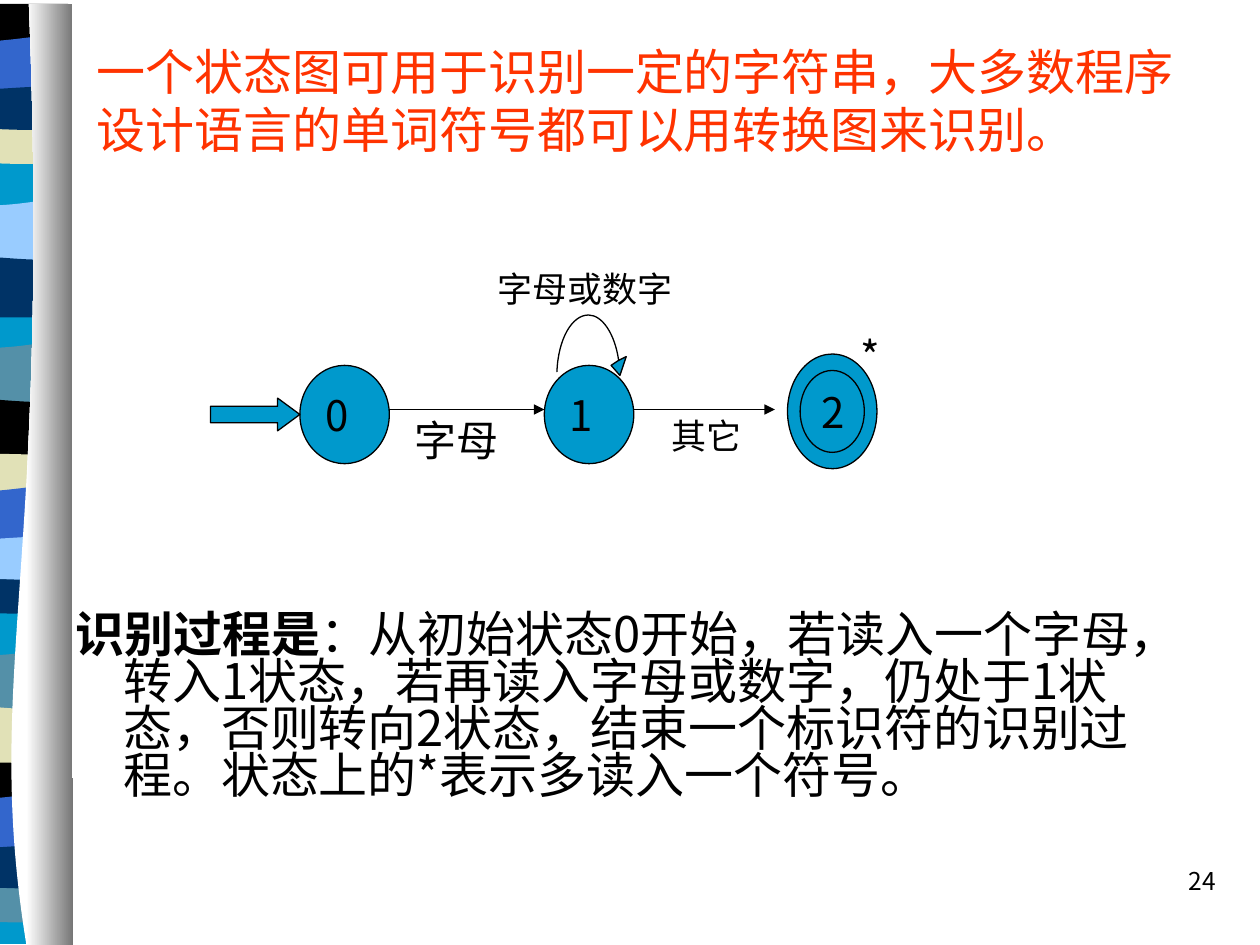
import pptx
import pptx.dml.color
import pptx.enum.shapes
import pptx.enum.text
import pptx.oxml
import pptx.oxml.ns
import pptx.util

Inches = pptx.util.Inches
Shapes = pptx.enum.shapes.MSO_SHAPE
Align = pptx.enum.text.PP_ALIGN
Anchor = pptx.enum.text.MSO_ANCHOR

THEME = {
    "font": "Noto Sans CJK SC",
    "heading": "FF3300", "ink": "000000", "state": "0099CC",
    "blue": "3366CC", "navy": "003366", "sand": "E1E1B7",
    "steel": "5490A8", "sky": "99CCFF", "black": "000000",
    "curtain": ("FFFFFF", "767676"),
    "large": 28, "medium": 24, "small": 20, "number": 14,
    "outline": 0.75, "leading": 1.18, "tight": 0.96,
}

HEADING = "一个状态图可用于识别一定的字符串，大多数程序设计语言的单词符号都可以用转换图来识别。"
PROCESS = [
    ("识别过程是", True),
    ("：从初始状态0开始，若读入一个字母，转入1状态，若再读入字母或数字，仍处于1状态，"
     "否则转向2状态，结束一个标识符的识别过程。状态上的*表示多读入一个符号。", False),
]
PAGE_NUMBER = "24"

STATES = [
    ("", (6.25, 2.81, 0.71, 0.91)),
    ("0", (2.38, 2.9, 0.71, 0.78)),
    ("1", (4.32, 2.9, 0.71, 0.78)),
    ("2", (6.35, 2.94, 0.51, 0.65)),
]
TRANSITIONS = [(3.09, 4.32), (5.03, 6.15)]
TRANSITION_Y = 3.25
LABELS = [
    ("字母", (3.19, 3.25, 1.43, 0.5), "medium", True),
    ("字母或数字", (3.85, 2.08, 2.14, 0.44), "small", True),
    ("其它", (5.23, 3.25, 1.32, 0.44), "small", True),
    ("*", (6.73, 2.58, 0.38, 0.5), "medium", False),
]
ENTRY_ARROW = (1.67, 3.16, 0.71, 0.26)
LOOP = [
    (4.91, 2.86), (4.88, 2.65, 4.78, 2.5, 4.67, 2.5),
    (4.54, 2.5, 4.43, 2.69, 4.42, 2.95), (4.43, 2.69, 4.54, 2.5, 4.67, 2.5),
    (4.78, 2.5, 4.88, 2.65, 4.91, 2.86), (4.97, 2.83), (4.92, 2.98), (4.85, 2.9),
]

BAND_OUTLINES = {
    "plain": [(0, 7.44), (0, 0), (1.1, 0), (1.1, 7.44)],
    "swell": [(0, 0.55), (0, 0.08), (0.76, 0.16, 0.91, 0, 1.1, 0.08), (1.1, 0.55)],
    "ripple": [(0, 0.55), (0, 0.08), (0.18, 0, 0.76, 0.13, 1.1, 0.08), (1.1, 0.55)],
    "lens": [(0, 0.28), (0, 0.04), (0.18, 0, 0.91, 0, 1.1, 0.04), (1.1, 0.28),
             (1.03, 0.33, 0.86, 0.32, 0.68, 0.32), (0.49, 0.32, 0.14, 0.29, 0, 0.28)],
    "arch": [(0, 0.38), (0, 0.05), (0.18, 0, 0.91, 0, 1.1, 0.05), (1.1, 0.38),
             (0.42, 0.33, 0.23, 0.38, 0, 0.38)],
    "flat": [(0, 0.38), (0, 0), (1.1, 0), (1.1, 0.38), (0.42, 0.33, 0.23, 0.38, 0, 0.38)],
    "sag": [(0, 0.47), (0, 0), (0.17, 0.06, 0.24, 0.06, 0.42, 0.06),
            (0.61, 0.06, 0.93, 0, 1.1, 0), (1.1, 0.47)],
    "drift": [(0, 0.35), (0, 0.05), (0.07, 0, 0.24, 0.05, 0.42, 0.05),
              (0.61, 0.05, 0.99, 0, 1.1, 0.05), (1.1, 0.35),
              (0.94, 0.4, 0.35, 0.35, 0.17, 0.35)],
}
BANDS_BY_LEFT = {
    -0.57: [("plain", 0.05, "state"), ("swell", 5.1, "steel"), ("ripple", 5.54, "sand"),
            ("lens", 7, "steel"), ("arch", 6.04, "black"), ("sag", 6.28, "blue"),
            ("drift", 6.68, "navy")],
    -0.56: [("swell", 2.66, "steel"), ("ripple", 3.1, "black"), ("lens", 4.55, "navy"),
            ("arch", 3.59, "sand"), ("sag", 3.84, "blue"), ("drift", 4.23, "sky"),
            ("swell", 1.53, "sky"), ("ripple", 1.97, "navy"), ("lens", 0.98, "sand"),
            ("flat", 0.03, "black"), ("sag", 0.27, "blue"), ("drift", 0.66, "navy")],
}
CURTAIN = [(0.21, 7.5), (-0.14, 5.34, 0.41, 4.55, 0.23, 0.03), (0.57, 0.03), (0.58, 7.5)]


def color(name):
    return pptx.dml.color.RGBColor.from_string(THEME[name])


def paint(shape, fill, outlined):
    shape.shadow.inherit = False
    shape.fill.solid()
    shape.fill.fore_color.rgb = color(fill)
    if outlined:
        shape.line.color.rgb = color("ink")
        shape.line.width = pptx.util.Pt(THEME["outline"])
    else:
        shape.line.fill.background()


def bend(shape, segments):
    lines = list(shape._element.iter(pptx.oxml.ns.qn("a:lnTo")))
    for line, segment in zip(lines, segments):
        if len(segment) == 1:
            continue
        points = "".join(f'<a:pt x="{x - shape.left}" y="{y - shape.top}"/>' for x, y in segment)
        curve = pptx.oxml.parse_xml(
            f'<a:cubicBezTo {pptx.oxml.ns.nsdecls("a")}>{points}</a:cubicBezTo>')
        line.getparent().replace(line, curve)


def add_outline(slide, outline, fill, outlined=False, left=0, top=0):
    segments = [[(Inches(left + x), Inches(top + y)) for x, y in zip(part[::2], part[1::2])]
                for part in outline]
    corners = [segment[-1] for segment in segments]
    builder = slide.shapes.build_freeform(*corners[0], scale=1.0)
    builder.add_line_segments(corners[1:], close=True)
    shape = builder.convert_to_shape()
    bend(shape, segments[1:])
    paint(shape, fill, outlined)
    return shape


def write(shape, runs, size, ink="ink", wrap=True, anchor=Anchor.TOP,
          align=Align.LEFT, leading=None):
    frame = shape.text_frame
    frame.word_wrap = wrap
    frame.vertical_anchor = anchor
    paragraph = frame.paragraphs[0]
    paragraph.alignment = align
    if leading:
        paragraph.line_spacing = pptx.util.Pt(round(THEME[size] * THEME[leading], 1))
    for text, bold in runs:
        run = paragraph.add_run()
        run.text = text
        run.font.name = THEME["font"]
        run.font.size = pptx.util.Pt(THEME[size])
        run.font.bold = bold
        run.font.color.rgb = color(ink)
        east_asian = pptx.oxml.parse_xml(
            f'<a:ea {pptx.oxml.ns.nsdecls("a")} typeface="{THEME["font"]}"/>')
        run.font._element.find(pptx.oxml.ns.qn("a:latin")).addnext(east_asian)
    return paragraph


def add_text(slide, box, runs, size, **options):
    return write(slide.shapes.add_textbox(*map(Inches, box)), runs, size, **options)


def add_transition(slide, start, end):
    arrow = slide.shapes.add_connector(
        pptx.enum.shapes.MSO_CONNECTOR.STRAIGHT,
        Inches(start), Inches(TRANSITION_Y), Inches(end), Inches(TRANSITION_Y))
    arrow.line.color.rgb = color("ink")
    arrow.line.width = pptx.util.Pt(THEME["outline"])
    namespace = pptx.oxml.ns.nsdecls("a")
    arrow.line._get_or_add_ln().append(
        pptx.oxml.parse_xml(f'<a:tailEnd {namespace} type="triangle"/>'))
    arrow._element.spPr.append(pptx.oxml.parse_xml(f"<a:effectLst {namespace}/>"))


def add_border(slide):
    for left, bands in BANDS_BY_LEFT.items():
        for outline, top, fill in bands:
            add_outline(slide, BAND_OUTLINES[outline], fill, left=left, top=top)
    curtain = add_outline(slide, CURTAIN, "black")
    curtain.fill.gradient()
    curtain.fill.gradient_angle = 0
    for stop, shade in zip(curtain.fill.gradient_stops, THEME["curtain"]):
        stop.color.rgb = pptx.dml.color.RGBColor.from_string(shade)


def add_diagram(slide):
    for digit, box in STATES:
        state = slide.shapes.add_shape(Shapes.OVAL, *map(Inches, box))
        paint(state, "state", True)
        if digit:
            write(state, [(digit, False)], "medium", wrap=False, anchor=Anchor.MIDDLE)
    for start, end in TRANSITIONS:
        add_transition(slide, start, end)
    for label, box, size, wrap in LABELS:
        add_text(slide, box, [(label, False)], size, wrap=wrap, leading="leading")
    entry = slide.shapes.add_shape(Shapes.RIGHT_ARROW, *map(Inches, ENTRY_ARROW))
    entry.adjustments[0], entry.adjustments[1] = 0.5, 0.68
    paint(entry, "state", True)
    add_outline(slide, LOOP, "state", outlined=True)


def main():
    deck = pptx.Presentation()
    deck.slide_width, deck.slide_height = Inches(10), Inches(7.5)
    slide = deck.slides.add_slide(deck.slide_layouts[6])
    add_border(slide)
    add_text(slide, (0.67, 0.17, 9.12, 1.25), [(HEADING, False)], "large",
             ink="heading", anchor=Anchor.MIDDLE, leading="leading")
    process = add_text(slide, (0.5, 4.83, 9, 1.75), PROCESS, "large", leading="tight")
    layout = process._p.get_or_add_pPr()
    layout.set("marL", str(Inches(0.38)))
    layout.set("indent", str(Inches(-0.38)))
    layout.set("hangingPunct", "0")
    add_diagram(slide)
    add_text(slide, (7.67, 6.83, 2.08, 0.5), [(PAGE_NUMBER, False)], "number",
             align=Align.RIGHT, leading="leading")
    deck.save("out.pptx")


if __name__ == "__main__":
    main()
